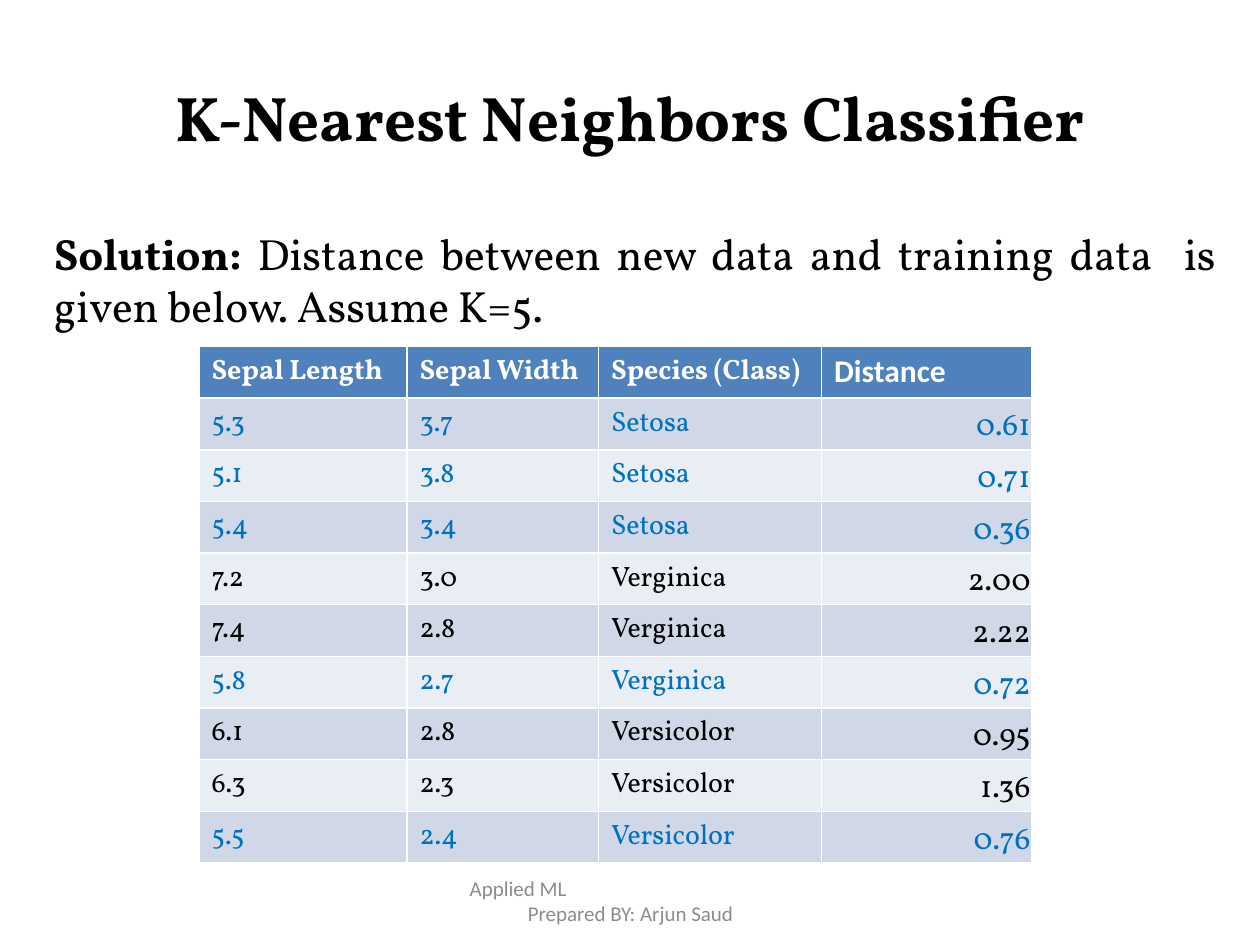
from pptx import Presentation
from pptx.dml.color import RGBColor
from pptx.enum.text import MSO_ANCHOR as ANCHOR, PP_ALIGN as ALIGN
from pptx.util import Inches, Pt

COLORS = {"text": "000000", "near": "0070C0", "header": "4F81BD", "white": "FFFFFF",
          "odd": "D0D8E8", "even": "E9EDF4", "footer": "8C8C8C"}
SERIF, SANS = "Vollkorn", "Calibri"

HEADERS = ["Sepal Length", "Sepal Width", "Species (Class)", "Distance"]
SAMPLES = [
    ("5.3", "3.7", "Setosa", "0.61"),
    ("5.1", "3.8", "Setosa", "0.71"),
    ("5.4", "3.4", "Setosa", "0.36"),
    ("7.2", "3.0", "Verginica", "2.00"),
    ("7.4", "2.8", "Verginica", "2.22"),
    ("5.8", "2.7", "Verginica", "0.72"),
    ("6.1", "2.8", "Versicolor", "0.95"),
    ("6.3", "2.3", "Versicolor", "1.36"),
    ("5.5", "2.4", "Versicolor", "0.76"),
]
K = 5
COL_WIDTHS = [1.65, 1.52, 1.77, 1.67]


def rgb(name):
    return RGBColor.from_string(COLORS[name])


def add_run(p, text, size, color="text", font=SERIF, bold=False):
    r = p.add_run()
    r.text = text
    r.font.size, r.font.name, r.font.bold = Pt(size), font, bold
    r.font.color.rgb = rgb(color)


def add_text_frame(slide, box, anchor=ANCHOR.TOP):
    tf = slide.shapes.add_textbox(*map(Inches, box)).text_frame
    tf.word_wrap = True
    tf.vertical_anchor = anchor
    return tf


def add_title(slide, box):
    p = add_text_frame(slide, box, ANCHOR.MIDDLE).paragraphs[0]
    p.alignment = ALIGN.CENTER
    add_run(p, "K-Nearest Neighbors Classifier", 36, bold=True)


def add_body(slide, box):
    p = add_text_frame(slide, box).paragraphs[0]
    p.alignment = ALIGN.JUSTIFY
    p.space_before = Pt(5)
    add_run(p, "Solution: ", 25, bold=True)
    add_run(p, "Distance between new data and training data  is given below. Assume K=5.", 25)


def fill_cell(cell, text, fill, size, **style):
    cell.fill.solid()
    cell.fill.fore_color.rgb = rgb(fill)
    add_run(cell.text_frame.paragraphs[0], text, size, **style)


def add_distance_table(slide, box):
    table = slide.shapes.add_table(len(SAMPLES) + 1, len(HEADERS), *map(Inches, box)).table
    for col, width in zip(table.columns, COL_WIDTHS):
        col.width = Inches(width)

    # Header row
    for c, text in enumerate(HEADERS):
        size, font = (18, SANS) if text == "Distance" else (16, SERIF)
        fill_cell(table.cell(0, c), text, "header", size, color="white", font=font, bold=True)

    # Sample rows, with the K nearest in blue
    nearest = sorted(SAMPLES, key=lambda row: float(row[-1]))[:K]
    for n, sample in enumerate(SAMPLES, 1):
        fill = "odd" if n % 2 else "even"
        color = "near" if sample in nearest else "text"
        for c, text in enumerate(sample):
            fill_cell(table.cell(n, c), text, fill, 18 if c == 3 else 16, color=color)

        # Distance sits at the bottom right, close to the edges
        cell = table.cell(n, 3)
        cell.vertical_anchor = ANCHOR.BOTTOM
        cell.margin_left = cell.margin_top = cell.margin_right = Inches(0.01)
        cell.margin_bottom = 0
        cell.text_frame.paragraphs[0].alignment = ALIGN.RIGHT


def add_footer(slide, box):
    tf = add_text_frame(slide, box, ANCHOR.MIDDLE)
    course, author = tf.paragraphs[0], tf.add_paragraph()
    course.alignment, author.alignment = ALIGN.LEFT, ALIGN.CENTER
    course._p.get_or_add_pPr().set("marL", str(Inches(0.21)))
    add_run(course, "Applied ML", 12, "footer", SANS)
    add_run(author, "Prepared BY: Arjun Saud", 12, "footer", SANS)


def main():
    prs = Presentation()
    prs.slide_width, prs.slide_height = Inches(10), Inches(7.5)
    slide = prs.slides.add_slide(prs.slide_layouts[6])
    add_title(slide, (0.5, 0.3, 9, 1.25))
    add_body(slide, (0.33, 1.75, 9.42, 5.17))
    add_distance_table(slide, (1.58, 2.75, sum(COL_WIDTHS), 4.1))
    add_footer(slide, (3.42, 6.95, 3.17, 0.4))
    prs.save("out.pptx")


if __name__ == "__main__":
    main()
